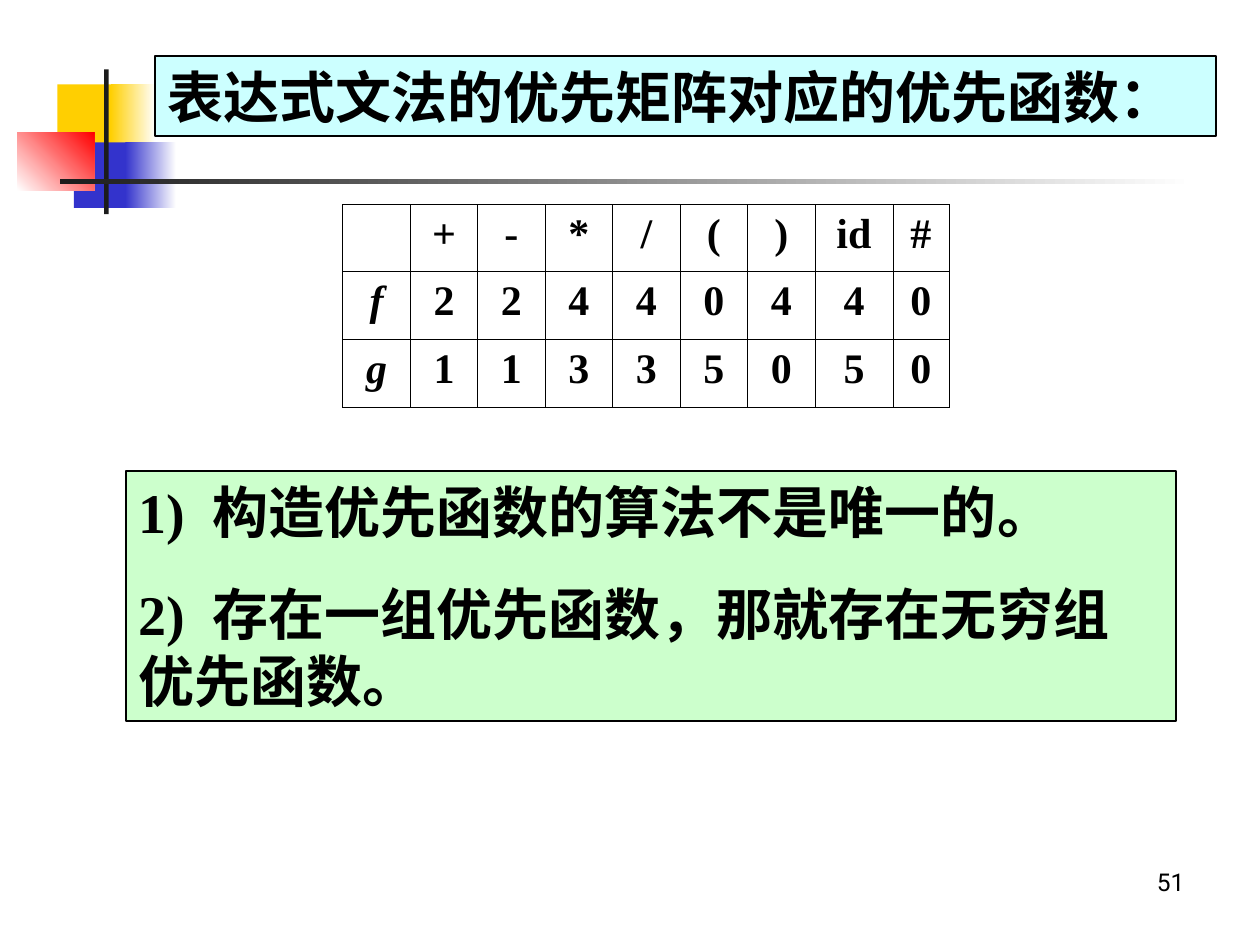
from dataclasses import dataclass
from lxml.etree import SubElement
from pptx import Presentation
from pptx.dml.color import RGBColor
from pptx.enum.shapes import MSO_SHAPE
from pptx.enum.text import MSO_ANCHOR, MSO_AUTO_SIZE, PP_ALIGN
from pptx.oxml.ns import qn
from pptx.util import Cm, Pt


@dataclass(frozen=True)
class Theme:
    """Colours, typefaces and type sizes of the deck."""
    black: str = "000000"
    white: str = "FFFFFF"
    rule: str = "1C1C1C"
    yellow: str = "FFCF01"
    blue: str = "3333CC"
    red: str = "FF0000"
    pale_cyan: str = "CCFFFF"
    pale_green: str = "CCFFCC"
    serif: str = "Times New Roman"
    sans: str = "Roboto"
    heading: int = 32
    cell: int = 24
    number: int = 14


THEME = Theme()


def style(para, size, face=THEME.serif, bold=True, italic=False):
    """Set the font of a whole paragraph."""
    font = para.font
    font.name, font.size, font.bold, font.italic = face, Pt(size), bold, italic
    font.color.rgb = RGBColor.from_string(THEME.black)


def add_block(page, box, colour, end_colour=None, angle=0):
    """Add a borderless rectangle, plain or fading to a second colour."""
    block = page.shapes.add_shape(MSO_SHAPE.RECTANGLE, *map(Cm, box))
    block.shadow.inherit = False
    block.line.fill.background()
    if end_colour is None:
        block.fill.solid()
        block.fill.fore_color.rgb = RGBColor.from_string(colour)
        return
    block.fill.gradient()
    block.fill.gradient_angle = angle
    for stop, value in zip(block.fill.gradient_stops, (colour, end_colour)):
        stop.color.rgb = RGBColor.from_string(value)


def add_ornament(page, box):
    """Draw the coloured squares and the crossed rules within the box."""
    left, top, width, height = box
    blocks = [
        ((0.81, 0.3, 1.22, 1.32), THEME.yellow),
        ((1.88, 0.3, 0.91, 1.32), THEME.yellow, THEME.white),
        ((1.14, 1.47, 1.17, 1.32), THEME.blue),
        ((2.18, 1.47, 1.02, 1.32), THEME.blue, THEME.white),
        ((0, 1.27, 1.55, 1.17), THEME.white, THEME.red, 45),
        ((1.75, 0, 0.09, height), THEME.rule),
        ((0.86, 2.2, width - 0.86, 0.11), THEME.rule, THEME.white),
    ]
    for (x, y, w, h), *paint in blocks:
        add_block(page, (left + x, top + y, w, h), *paint)


def add_panel(page, box, colour, lines):
    """Add an outlined panel of bold text, with a tab stop after item numbers."""
    panel = page.shapes.add_shape(MSO_SHAPE.RECTANGLE, *map(Cm, box))
    panel.shadow.inherit = False
    panel.fill.solid()
    panel.fill.fore_color.rgb = RGBColor.from_string(colour)
    panel.line.color.rgb = RGBColor.from_string(THEME.black)
    panel.line.width = Pt(1)
    frame = panel.text_frame
    frame.word_wrap = True
    frame.auto_size = MSO_AUTO_SIZE.SHAPE_TO_FIT_TEXT
    frame.vertical_anchor = MSO_ANCHOR.TOP
    for index, line in enumerate(lines):
        para = frame.add_paragraph() if index else frame.paragraphs[0]
        para.text = line
        para.alignment = PP_ALIGN.LEFT
        para.space_before = Pt(20)
        if "\t" in line:
            tabs = SubElement(para._p.get_or_add_pPr(), qn("a:tabLst"))
            SubElement(tabs, qn("a:tab"), pos=str(Cm(1.5)), algn="l")
        style(para, THEME.heading)


def add_borders(cell):
    """Give a cell thin lines on all four sides."""
    properties = cell._tc.get_or_add_tcPr()
    for side in ("lnL", "lnR", "lnT", "lnB"):
        line = SubElement(properties, qn(f"a:{side}"), w=str(Pt(0.45)))
        fill = SubElement(line, qn("a:solidFill"))
        SubElement(fill, qn("a:srgbClr"), val=THEME.black)


def add_function_table(page, box, widths, heights, rows):
    """Add the table of precedence functions."""
    table = page.shapes.add_table(len(rows), len(widths), *map(Cm, box)).table
    table.first_row = table.horz_banding = False
    for column, width in zip(table.columns, widths):
        column.width = Cm(width)
    for row, height, values in zip(table.rows, heights, rows):
        row.height = Cm(height)
        for index, (cell, value) in enumerate(zip(row.cells, values)):
            add_borders(cell)
            cell.fill.background()
            para = cell.text_frame.paragraphs[0]
            para.text = value
            para.alignment = PP_ALIGN.CENTER
            style(para, THEME.cell, italic=index == 0)


def add_page_number(page, box, number):
    """Add the right-aligned page number."""
    frame = page.shapes.add_textbox(*map(Cm, box)).text_frame
    frame.word_wrap = True
    para = frame.paragraphs[0]
    para.text = number
    para.alignment = PP_ALIGN.RIGHT
    style(para, THEME.number, THEME.sans, bold=False)


def main():
    """Build the slide and save it."""
    deck = Presentation()
    deck.slide_width, deck.slide_height = Cm(25.4), Cm(19.05)
    page = deck.slides.add_slide(deck.slide_layouts[6])
    add_ornament(page, (0.35, 1.4, 23.73, 2.92))
    add_page_number(page, (18.2, 17.35, 5.93, 1.32), "51")
    add_panel(page, (3.13, 1.13, 21.38, 1.62), THEME.pale_cyan,
              ["表达式文法的优先矩阵对应的优先函数："])
    add_panel(page, (2.54, 9.5, 21.17, 5.03), THEME.pale_green,
              ["1)\t构造优先函数的算法不是唯一的。",
               "2)\t存在一组优先函数，那就存在无穷组优先函数。"])
    add_function_table(page, (6.91, 4.12, 12.2, 4.09),
                       [1.36] * 7 + [1.57, 1.13], [1.35, 1.37, 1.37],
                       [["", "+", "-", "*", "/", "(", ")", "id", "#"],
                        ["f", *"22440440"],
                        ["g", *"11335050"]])
    deck.save("out.pptx")


if __name__ == "__main__":
    main()
